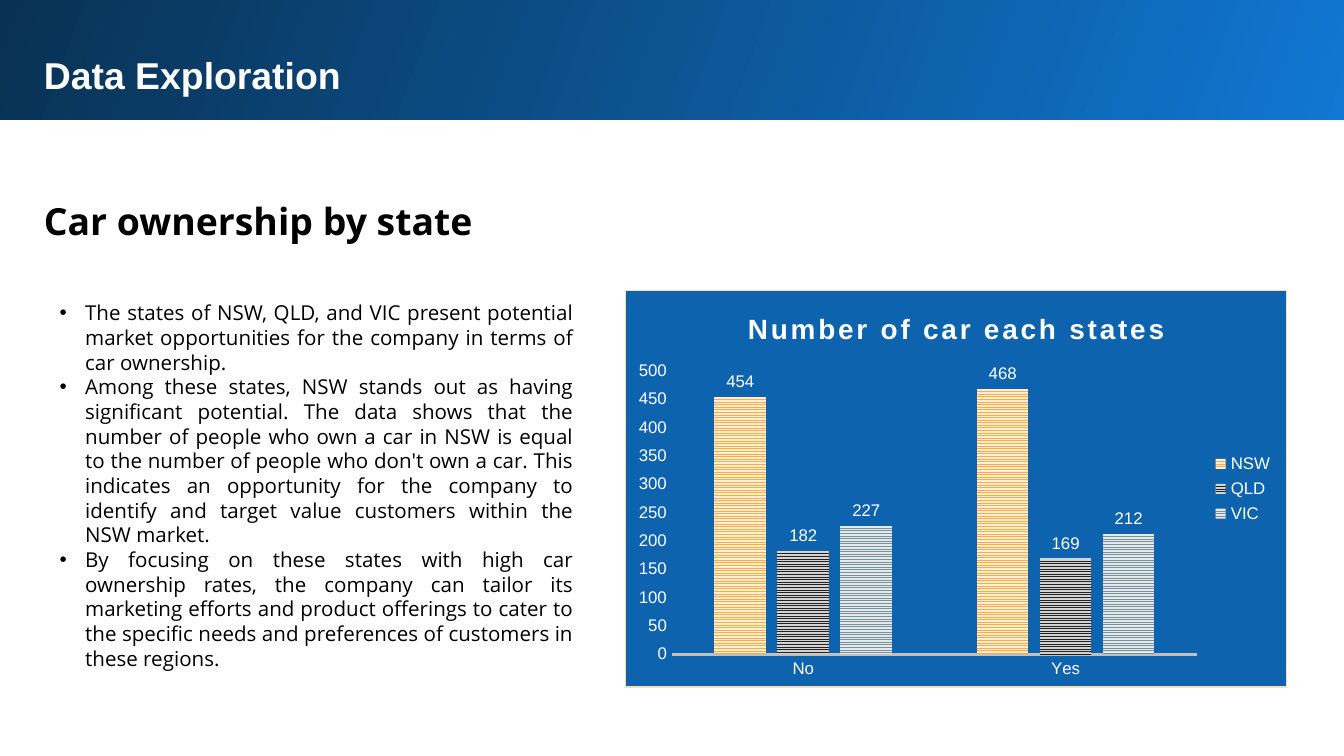
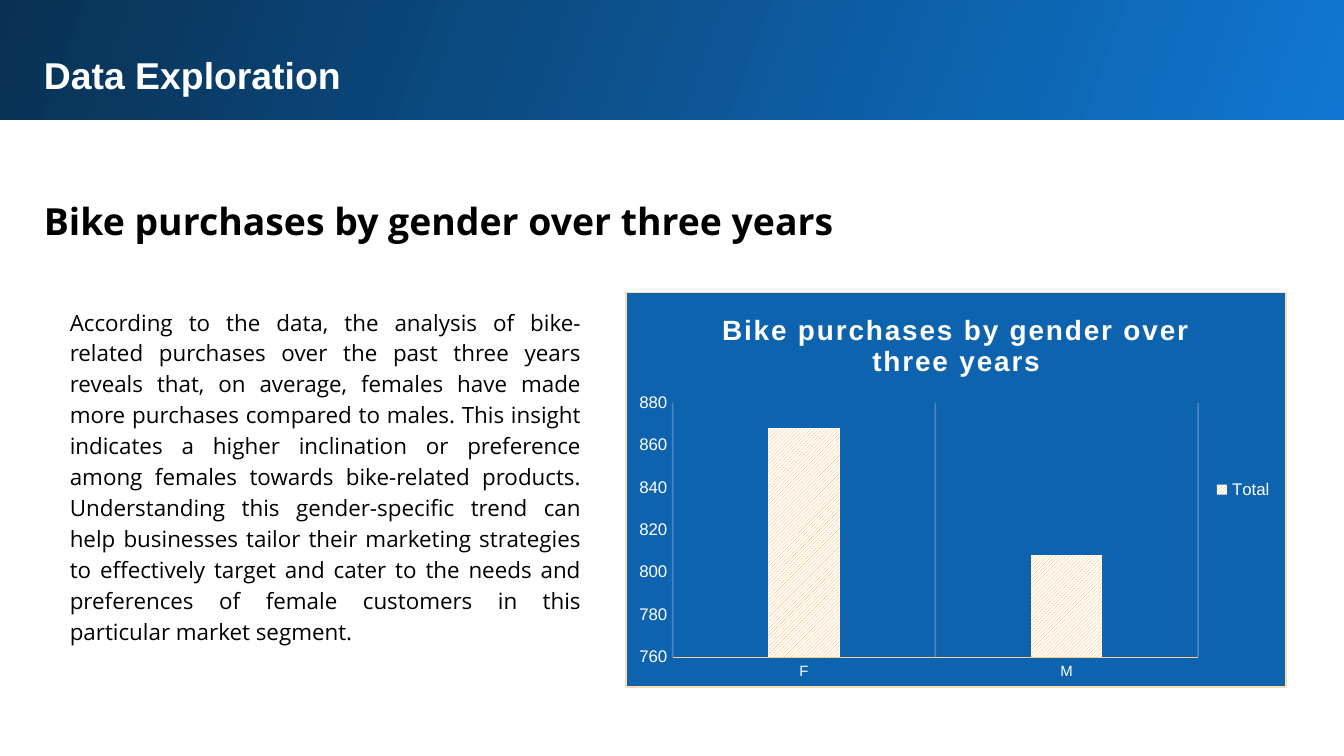
import pptx
import pptx.util
import pptx.oxml
import pptx.oxml.ns
import pptx.dml.color
import pptx.chart.data
import pptx.enum.text
import pptx.enum.dml
import pptx.enum.chart
import pptx.enum.shapes
import lxml.etree

Cm = pptx.util.Cm
Pt = pptx.util.Pt
qn = pptx.oxml.ns.qn
Align = pptx.enum.text.PP_ALIGN
Fit = pptx.enum.text.MSO_AUTO_SIZE
Hatch = pptx.enum.dml.MSO_PATTERN
Tick = pptx.enum.chart.XL_TICK_MARK

THEME = {
    "head": {"name": "Arial", "size": Pt(20), "bold": True, "color": "FFFFFF"},
    "topic": {"name": "Open Sans", "size": Pt(20), "bold": True, "color": "000000"},
    "list": {"name": "Open Sans", "size": Pt(11), "color": "000000"},
    "prose": {"name": "Open Sans", "size": Pt(12), "color": "000000"},
    "chart": {"name": "Arial", "size": Pt(10), "color": "FFFFFF"},
    "name": {"name": "Arial", "size": Pt(15), "bold": True, "color": "FFFFFF"},
    "label": {"name": "Arial", "size": Pt(9), "bold": False, "color": "FFFFFF"},
    "small": {"name": "Arial", "size": Pt(8), "bold": False, "color": "FFFFFF"},
    "band": ("1077D2", "093153"),
    "panel": "0E63AE",
    "edge": "FFDDB3",
    "grid": "FFFFFF",
}

PLACE = {
    "band": (-0.05, -0.05, 25.53, 2.32),
    "head": (0.58, 0.74, 23.8, 1.3),
    "topic": (0.58, 3.07, 23.8, 1.65),
}

SLIDES = [
    {
        "head": "Data Exploration",
        "topic": "Car ownership by state",
        "text": [
            "The states of NSW, QLD, and VIC present potential market opportunities "
            "for the company in terms of car ownership.",
            "Among these states, NSW stands out as having significant potential. "
            "The data shows that the number of people who own a car in NSW is equal "
            "to the number of people who don't own a car. This indicates an "
            "opportunity for the company to identify and target value customers "
            "within the NSW market.",
            "By focusing on these states with high car ownership rates, the company "
            "can tailor its marketing efforts and product offerings to cater to the "
            "specific needs and preferences of customers in these regions.",
        ],
        "style": "list",
        "bullet": True,
        "space": None,
        "box": (0.88, 5.43, 10.21, 7.57),
        "chart": {
            "box": (11.81, 5.48, 12.52, 7.52),
            "title": "Number of car each states",
            "track": 150,
            "cats": ["No", "Yes"],
            "hatch": Hatch.NARROW_HORIZONTAL,
            "rows": [
                ("NSW", (454, 468), "FFAB40", "FFEED9"),
                ("QLD", (182, 169), "212121", "D3D3D3"),
                ("VIC", (227, 212), "78909C", "E4E9EB"),
            ],
            "bars": {"gap_width": 164, "overlap": -22},
            "scale": {"minimum_scale": 0, "maximum_scale": 500, "major_unit": 50},
            "line": ("BFBFBF", 1.5),
            "cat": "label",
            "labels": True,
            "grid": False,
        },
    },
    {
        "head": "Data Exploration",
        "topic": "Bike purchases by gender over three years",
        "text": [
            "According to the data, the analysis of bike-related purchases over the "
            "past three years reveals that, on average, females have made more "
            "purchases compared to males. This insight indicates a higher "
            "inclination or preference among females towards bike-related products. "
            "Understanding this gender-specific trend can help businesses tailor "
            "their marketing strategies to effectively target and cater to the needs "
            "and preferences of female customers in this particular market segment.",
        ],
        "style": "prose",
        "bullet": False,
        "space": 1.15,
        "box": (1.07, 5.51, 10.17, 6.96),
        "chart": {
            "box": (11.82, 5.51, 12.5, 7.49),
            "title": "Bike purchases by gender over three years",
            "track": 100,
            "cats": ["F", "M"],
            "hatch": Hatch.LIGHT_UPWARD_DIAGONAL,
            "rows": [("Total", (868, 808), "FFAB40", "FFFFFF")],
            "bars": {"gap_width": 269, "overlap": -20},
            "scale": {"minimum_scale": 760, "maximum_scale": 880, "major_unit": 20},
            "line": ("FFCD8C", 0.25),
            "cat": "small",
            "labels": False,
            "grid": True,
        },
    },
]


def rgb(code):
    return pptx.dml.color.RGBColor.from_string(code)


def put(item, values):
    for key, value in values.items():
        if key == "color":
            item.color.rgb = rgb(value)
        else:
            setattr(item, key, value)


def cms(box):
    return [Cm(side) for side in box]


def stroke(line, code, width):
    line.fill.solid()
    put(line, {"color": code, "width": Pt(width)})


def bullet(para):
    para.level = 1
    props = para._p.get_or_add_pPr()
    props.set("marL", str(Cm(0.48)))
    props.set("indent", str(-Cm(0.48)))
    lxml.etree.SubElement(props, qn("a:buFont")).set("typeface", "Arial")
    lxml.etree.SubElement(props, qn("a:buChar")).set("char", "•")


def write(shape, texts, style, align, space=None, dots=False):
    frame = shape.text_frame
    put(frame, {
        "word_wrap": True,
        "auto_size": Fit.SHAPE_TO_FIT_TEXT,
        "vertical_anchor": pptx.enum.text.MSO_ANCHOR.TOP,
    })
    for side in ("left", "right", "top", "bottom"):
        setattr(frame, "margin_" + side, Cm(0.25))
    for index, text in enumerate(texts):
        para = frame.add_paragraph() if index else frame.paragraphs[0]
        put(para, {"alignment": align, "line_spacing": space})
        run = para.add_run()
        run.text = text
        put(run.font, THEME[style])
        if dots:
            bullet(para)


def add_band(slide):
    rect = pptx.enum.shapes.MSO_SHAPE.RECTANGLE
    band = slide.shapes.add_shape(rect, *cms(PLACE["band"]))
    band.shadow.inherit = False
    band.line.fill.background()
    band.fill.gradient()
    band.fill.gradient_angle = 160
    for stop, code, spot in zip(band.fill.gradient_stops, THEME["band"], (0, 1)):
        put(stop, {"color": code, "position": spot})
    slide.shapes._spTree.insert(2, band._element)


def add_head(slide, text):
    head = slide.shapes.title
    sides = ("left", "top", "width", "height")
    put(head, dict(zip(sides, cms(PLACE["head"]))))
    write(head, [text], "head", Align.LEFT)


def add_text(slide, box, *rest):
    write(slide.shapes.add_textbox(*cms(box)), *rest)


def panel(chart):
    root = pptx.oxml.parse_xml(
        f'<c:spPr {pptx.oxml.ns.nsdecls("c", "a")}>'
        f'<a:solidFill><a:srgbClr val="{THEME["panel"]}"/></a:solidFill>'
        f'<a:ln w="{Pt(0.75)}"><a:solidFill><a:srgbClr val="{THEME["edge"]}"/>'
        '</a:solidFill></a:ln></c:spPr>')
    chart._chartSpace.find(qn("c:chart")).addnext(root)


def add_chart(slide, data):
    table = pptx.chart.data.CategoryChartData()
    table.categories = data["cats"]
    for name, values, fore, back in data["rows"]:
        table.add_series(name, values)
    kind = pptx.enum.chart.XL_CHART_TYPE.COLUMN_CLUSTERED
    chart = slide.shapes.add_chart(kind, *cms(data["box"]), table).chart
    put(chart.font, THEME["chart"])
    panel(chart)

    para = chart.chart_title.text_frame.paragraphs[0]
    run = para.add_run()
    run.text = data["title"]
    put(run.font, THEME["name"])
    run._r.get_or_add_rPr().set("spc", str(data["track"]))

    chart.has_legend = True
    put(chart.legend, {
        "position": pptx.enum.chart.XL_LEGEND_POSITION.RIGHT,
        "include_in_layout": False,
    })
    put(chart.legend.font, THEME["label"])

    plot = chart.plots[0]
    put(plot, {"vary_by_categories": False, **data["bars"]})
    for series, (name, values, fore, back) in zip(plot.series, data["rows"]):
        fill = series.format.fill
        fill.patterned()
        fill.pattern = data["hatch"]
        fill.fore_color.rgb = rgb(fore)
        fill.back_color.rgb = rgb(back)
        series.format.line.fill.background()
        if data["labels"]:
            put(series.data_labels, {
                "show_value": True,
                "position": pptx.enum.chart.XL_LABEL_POSITION.OUTSIDE_END,
            })
            put(series.data_labels.font, THEME["label"])

    cat, val = chart.category_axis, chart.value_axis
    for axis, style in ((cat, data["cat"]), (val, "label")):
        put(axis, {
            "major_tick_mark": Tick.NONE,
            "minor_tick_mark": Tick.NONE,
            "has_major_gridlines": False,
        })
        put(axis.tick_labels.font, THEME[style])
    put(val, data["scale"])
    val.format.line.fill.background()
    stroke(cat.format.line, *data["line"])
    if data["grid"]:
        cat.has_major_gridlines = True
        line = cat.major_gridlines.format.line
        stroke(line, THEME["grid"], 0.75)
        tint = cat._element.find(qn("c:majorGridlines")).find(".//" + qn("a:srgbClr"))
        lxml.etree.SubElement(tint, qn("a:alpha")).set("val", "25000")


deck = pptx.Presentation()
put(deck, {"slide_width": Cm(25.4), "slide_height": Cm(14.29)})
for page in SLIDES:
    slide = deck.slides.add_slide(deck.slide_layouts[5])
    add_band(slide)
    add_head(slide, page["head"])
    add_text(slide, PLACE["topic"], [page["topic"]], "topic", Align.JUSTIFY, 1.5)
    add_text(slide, page["box"], page["text"], page["style"], Align.JUSTIFY,
             page["space"], page["bullet"])
    add_chart(slide, page["chart"])
deck.save("out.pptx")
